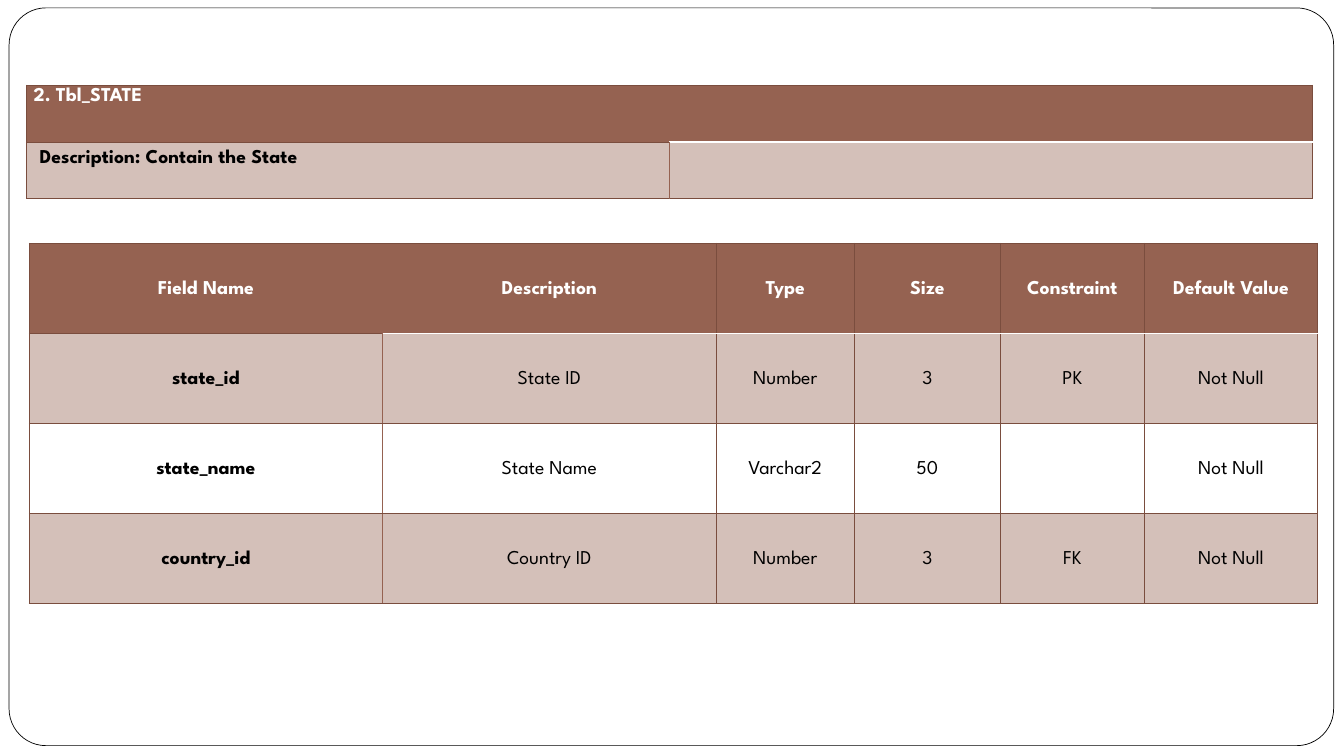
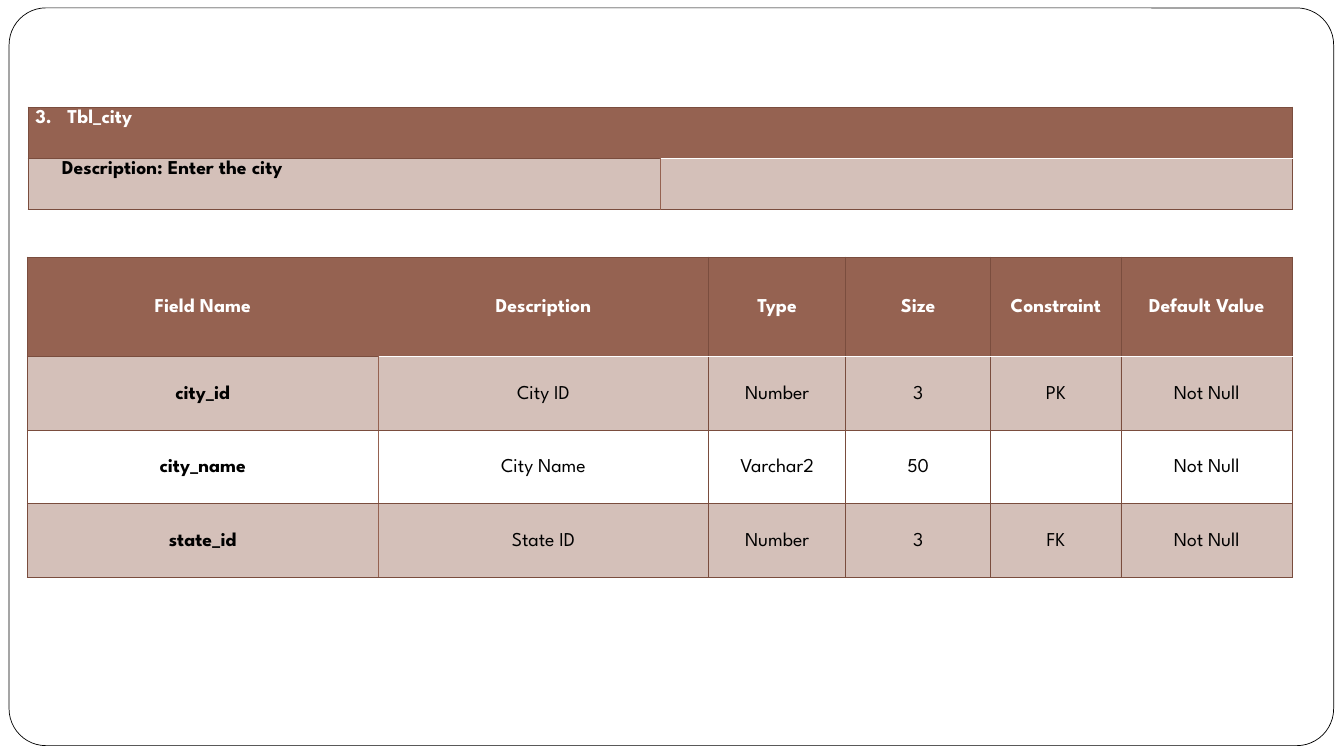
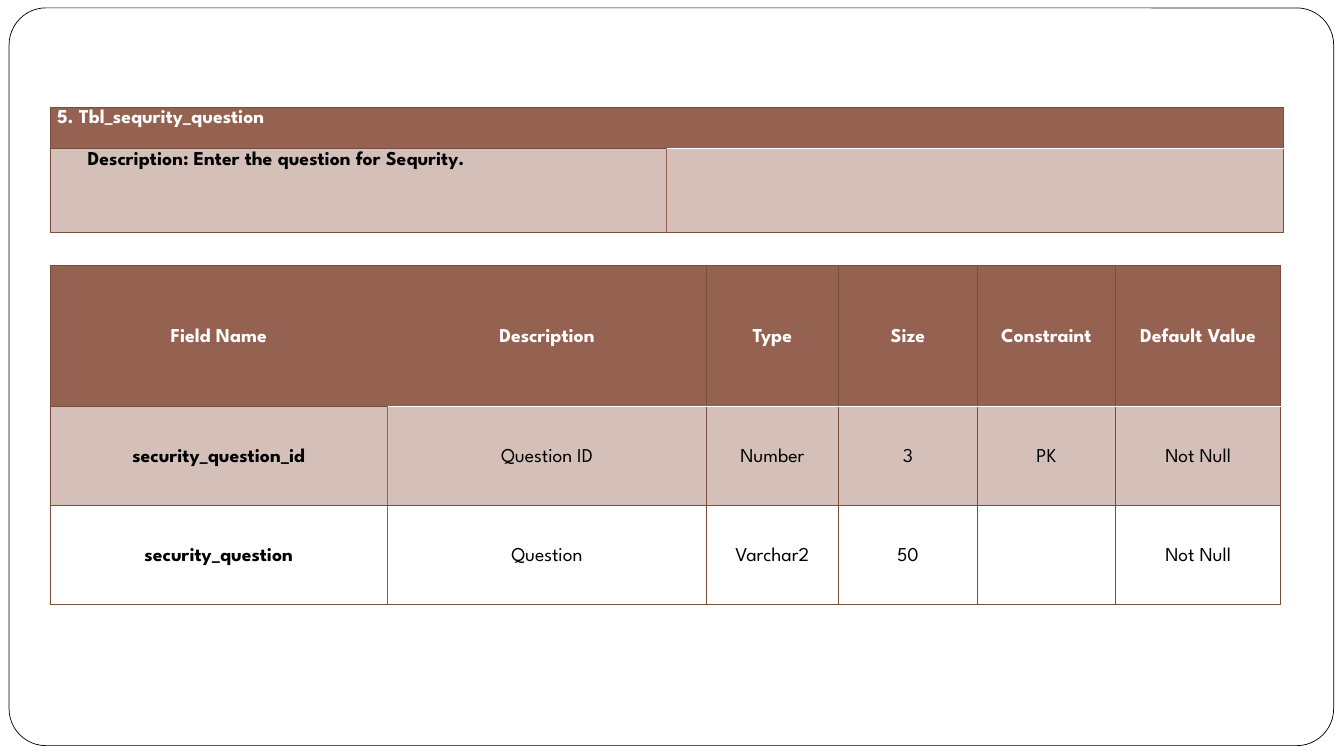
import pptx
import pptx.dml.color
import pptx.enum.shapes
import pptx.enum.text
import pptx.oxml
import pptx.util
from lxml import etree

Cm, Pt = pptx.util.Cm, pptx.util.Pt
FONT = "League Spartan"
BROWN, RULE, WHITE, BLACK = "956251", "7A4D3E", "FFFFFF", "000000"
MARGIN = 0.18
HEADINGS = ("Field Name", "Description", "Type", "Size", "Constraint", "Default Value")

ENTITIES = [
    dict(
        name="2. Tbl_STATE", about="Description: Contain the State",
        name_at=(0.67, 2.15), name_widths=(16.2, 16.2), name_heights=(1.43, 1.43),
        about_indent=0.15, about_drop=0.13,
        fields_at=(0.74, 6.13), field_widths=(8.9, 8.41, 3.48, 3.68, 3.63, 4.37),
        field_heights=(2.27, 2.27, 2.27, 2.27),
        fields=[("state_id", "State ID", "Number", "3", "PK"),
                ("state_name", "State Name", "Varchar2", "50", ""),
                ("country_id", "Country ID", "Number", "3", "FK")],
    ),
    dict(
        name="3.\tTbl_city", about="Description: Enter the city",
        name_at=(0.71, 2.7), name_widths=(15.93, 15.93), name_heights=(1.29, 1.29),
        about_indent=0.67, about_drop=0,
        fields_at=(0.69, 6.48), field_widths=(8.84, 8.33, 3.45, 3.66, 3.28, 4.32),
        field_heights=(2.51, 1.85, 1.85, 1.85),
        fields=[("city_id", "City ID", "Number", "3", "PK"),
                ("city_name", "City Name", "Varchar2", "50", ""),
                ("state_id", "State ID", "Number", "3", "FK")],
    ),
    dict(
        name="5. Tbl_sequrity_question",
        about="Description: Enter the question for Sequrity.",
        name_at=(1.26, 2.7), name_widths=(15.54, 15.54), name_heights=(1.05, 2.1),
        about_indent=0.77, about_drop=0,
        fields_at=(1.26, 6.69), field_widths=(8.51, 8.03, 3.33, 3.5, 3.48, 4.17),
        field_heights=(3.56, 2.49, 2.49),
        fields=[("security_question_id", "Question ID", "Number", "3", "PK"),
                ("security_question", "Question", "Varchar2", "50", "")],
    ),
]


def rgb(value):
    return pptx.dml.color.RGBColor.from_string(value)


def add_ruled_table(slide, at, widths, heights, rows, centred):
    """Add a table with a solid header row, tinted odd rows and thin rules."""
    left, top = at
    table = slide.shapes.add_table(
        len(rows), len(widths), Cm(left), Cm(top), Cm(sum(widths)), Cm(sum(heights))
    ).table
    table.first_row = table.horz_banding = False
    for column, width in zip(table.columns, widths):
        column.width = Cm(width)
    for row, height in zip(table.rows, heights):
        row.height = Cm(height)

    # Upright rules by column edge: the second edge is open in the header row.
    rule, soft_rule, header_rule = (RULE, 0.75), (BROWN, 1), (WHITE, 1)
    last = len(widths)
    for r, texts in enumerate(rows):
        uprights = [rule, None if r == 0 else soft_rule] + [rule] * (last - 1)
        for c, text in enumerate(texts):
            cell = table.cell(r, c)
            under_header = header_rule if c else rule
            edges = {
                "lnL": uprights[c],
                "lnR": uprights[c + 1],
                "lnT": under_header if r == 1 else rule,
                "lnB": under_header if r == 0 else rule,
            }
            properties = cell._tc.get_or_add_tcPr()
            for tag, edge in edges.items():
                line = etree.SubElement(properties, pptx.oxml.ns.qn(f"a:{tag}"))
                if edge is None:
                    etree.SubElement(line, pptx.oxml.ns.qn("a:noFill"))
                    continue
                colour, width = edge
                line.set("w", str(Pt(width)))
                solid = etree.SubElement(line, pptx.oxml.ns.qn("a:solidFill"))
                etree.SubElement(solid, pptx.oxml.ns.qn("a:srgbClr"), val=colour)

            if r and r % 2 == 0:
                cell.fill.background()
            else:
                cell.fill.solid()
                cell.fill.fore_color.rgb = rgb(BROWN)
            if r % 2:
                tint = properties.find("a:solidFill/a:srgbClr", pptx.oxml.ns._nsmap)
                etree.SubElement(tint, pptx.oxml.ns.qn("a:alpha"), val="40000")

            cell.margin_left = cell.margin_right = Cm(MARGIN)
            cell.margin_top = cell.margin_bottom = 0
            cell.text_frame.text = text
            paragraph = cell.text_frame.paragraphs[0]
            paragraph.line_spacing = 1.15
            if centred:
                cell.vertical_anchor = pptx.enum.text.MSO_ANCHOR.MIDDLE
                paragraph.alignment = pptx.enum.text.PP_ALIGN.CENTER
            for run in paragraph.runs:
                run.font.name = FONT
                run.font.size = Pt(14)
                run.font.bold = r == 0 or c == 0
                run.font.color.rgb = rgb(BLACK if r else WHITE)
    return table


deck = pptx.Presentation()
deck.slide_width, deck.slide_height = Cm(33.87), Cm(19.05)
blank = deck.slide_layouts[6]
slides = [deck.slides.add_slide(blank) for _ in ENTITIES]

# The rounded frame is drawn once and moved to the master, behind everything.
frame = slides[0].shapes.add_shape(
    pptx.enum.shapes.MSO_SHAPE.ROUNDED_RECTANGLE, Cm(0.23), Cm(0.2), Cm(33.38), Cm(18.59)
)
frame.adjustments[0] = 0.05
frame.shadow.inherit = False
frame.fill.solid()
frame.fill.fore_color.rgb = rgb(WHITE)
frame.line.color.rgb = rgb(BLACK)
frame.line.width = Pt(0.5)
deck.slide_master.shapes.element.insert(2, frame.element)

for slide, entity in zip(slides, ENTITIES):
    banner = add_ruled_table(
        slide, entity["name_at"], entity["name_widths"], entity["name_heights"],
        [(entity["name"], ""), (entity["about"], "")], centred=False,
    )
    about = banner.cell(1, 0)
    about.margin_left = Cm(MARGIN + entity["about_indent"])
    about.margin_top = Cm(entity["about_drop"])
    if "\t" in entity["name"]:
        name = banner.cell(0, 0).text_frame.paragraphs[0]
        stops = etree.SubElement(name._p.get_or_add_pPr(), pptx.oxml.ns.qn("a:tabLst"))
        etree.SubElement(stops, pptx.oxml.ns.qn("a:tab"), pos=str(Cm(0.81)), algn="l")

    add_ruled_table(
        slide, entity["fields_at"], entity["field_widths"], entity["field_heights"],
        [HEADINGS] + [field + ("Not Null",) for field in entity["fields"]], centred=True,
    )

deck.save("out.pptx")
